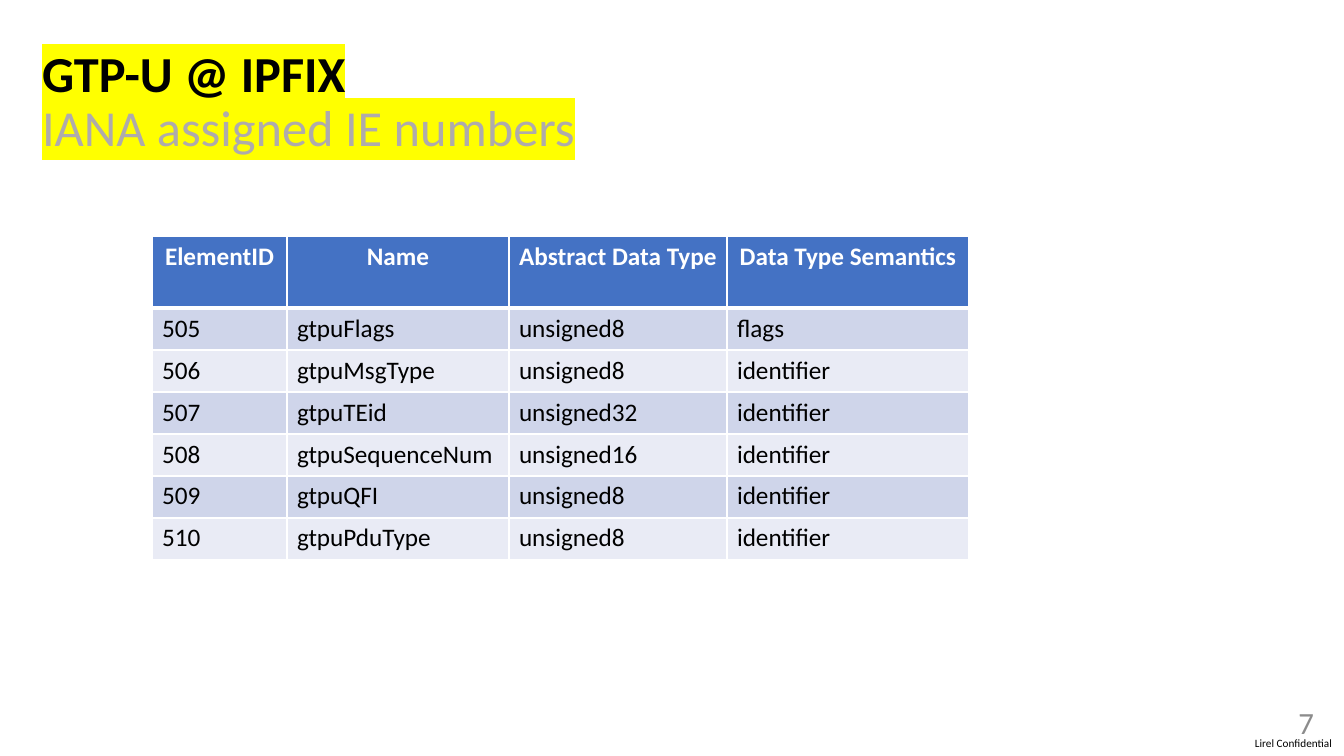
from lxml.etree import SubElement
from pptx import Presentation
from pptx.dml.color import RGBColor
from pptx.enum.text import MSO_ANCHOR as Anchor, MSO_AUTO_SIZE as AutoSize, PP_ALIGN as Align
from pptx.oxml.ns import qn
from pptx.util import Emu, Pt

COLORS = {
    "black": "000000",
    "white": "FFFFFF",
    "subtitle": "AFABAB",
    "number": "8C8C8C",
    "highlight": "FFFF00",
    "header": "4472C4",
    "odd": "CFD5EA",
    "even": "E9EBF5",
}
HEADERS = ["ElementID", "Name", "Abstract Data Type", "Data Type Semantics"]
ELEMENTS = [
    ["505", "gtpuFlags", "unsigned8", "flags"],
    ["506", "gtpuMsgType", "unsigned8", "identifier"],
    ["507", "gtpuTEid", "unsigned32", "identifier"],
    ["508", "gtpuSequenceNum", "unsigned16", "identifier"],
    ["509", "gtpuQFI", "unsigned8", "identifier"],
    ["510", "gtpuPduType", "unsigned8", "identifier"],
]


def px(length):
    return Emu(round(length * 914400 / 100.8))


def rgb(name):
    return RGBColor.from_string(COLORS[name])


class SlideBuilder:
    font = "Calibri"

    def __init__(self, slide):
        self.slide = slide

    def run(self, paragraph, text, size, color="black", bold=False, highlight=None):
        run = paragraph.add_run()
        run.text = text
        run.font.size = Pt(size)
        run.font.bold = bold
        run.font.name = self.font
        run.font.color.rgb = rgb(color)
        if highlight:
            properties = run.font._element
            mark = SubElement(properties, qn("a:highlight"))
            SubElement(mark, qn("a:srgbClr"), val=COLORS[highlight])
            properties.find(qn("a:solidFill")).addnext(mark)

    def title(self, box, heading, subheading, size):
        shape = self.slide.shapes.title
        shape.left, shape.top, shape.width, shape.height = map(px, box)
        frame = shape.text_frame
        frame.auto_size = AutoSize.NONE
        frame.vertical_anchor = Anchor.MIDDLE
        paragraph = frame.paragraphs[0]
        paragraph.alignment = Align.LEFT
        paragraph.line_spacing = 0.9
        paragraph.space_before = Pt(0)
        self.run(paragraph, heading, size, bold=True, highlight="highlight")
        paragraph.add_line_break()
        line_break = paragraph._p.find(qn("a:br"))
        SubElement(line_break, qn("a:rPr"), sz=str(size * 100))
        self.run(paragraph, subheading, size, "subtitle", highlight="highlight")

    def text(self, box, text, size, color, align=Align.LEFT, anchor=Anchor.TOP, inset=None):
        frame = self.slide.shapes.add_textbox(*map(px, box)).text_frame
        frame.word_wrap = False
        frame.vertical_anchor = anchor
        if inset is not None:
            frame.margin_left = frame.margin_right = px(inset)
            frame.margin_top = frame.margin_bottom = px(inset)
        paragraph = frame.paragraphs[0]
        paragraph.alignment = align
        self.run(paragraph, text, size, color)

    def border(self, cell, side, width):
        properties = cell._tc.get_or_add_tcPr()
        line = SubElement(properties, qn(f"a:ln{side}"), w=str(Pt(width)))
        fill = SubElement(line, qn("a:solidFill"))
        SubElement(fill, qn("a:srgbClr"), val=COLORS["white"])

    def cell(self, cell, text, row):
        is_header = row == 0
        for side in "LRTB":
            heavy = (side == "B" and row == 0) or (side == "T" and row == 1)
            self.border(cell, side, 3 if heavy else 1)
        cell.fill.solid()
        cell.fill.fore_color.rgb = rgb("header" if is_header else "odd" if row % 2 else "even")
        paragraph = cell.text_frame.paragraphs[0]
        paragraph.alignment = Align.CENTER if is_header else Align.LEFT
        self.run(paragraph, text, 18, "white" if is_header else "black", bold=is_header)

    def table(self, left, top, widths, heights, rows):
        box = map(px, (left, top, sum(widths), sum(heights)))
        table = self.slide.shapes.add_table(len(rows), len(widths), *box).table
        for column, width in zip(table.columns, widths):
            column.width = px(width)
        for row, height in zip(table.rows, heights):
            row.height = px(height)
        for row, texts in enumerate(rows):
            for column, text in enumerate(texts):
                self.cell(table.cell(row, column), text, row)


def main():
    presentation = Presentation()
    presentation.slide_width = px(1344)
    presentation.slide_height = px(756)
    slide = presentation.slides.add_slide(presentation.slide_layouts[5])
    builder = SlideBuilder(slide)
    builder.text((1255, 736, 85, 13), "Lirel Confidential", 8, "black", inset=0)
    builder.title((32, 30, 1159, 146), "GTP-U @ IPFIX", "IANA assigned IE numbers", 36)
    builder.text((1279, 702, 45, 40), "7", 22, "number", Align.RIGHT, Anchor.MIDDLE)
    heights = [72] + [42] * len(ELEMENTS)
    builder.table(152, 236, [135, 222, 218, 242], heights, [HEADERS] + ELEMENTS)
    presentation.save("out.pptx")


if __name__ == "__main__":
    main()
